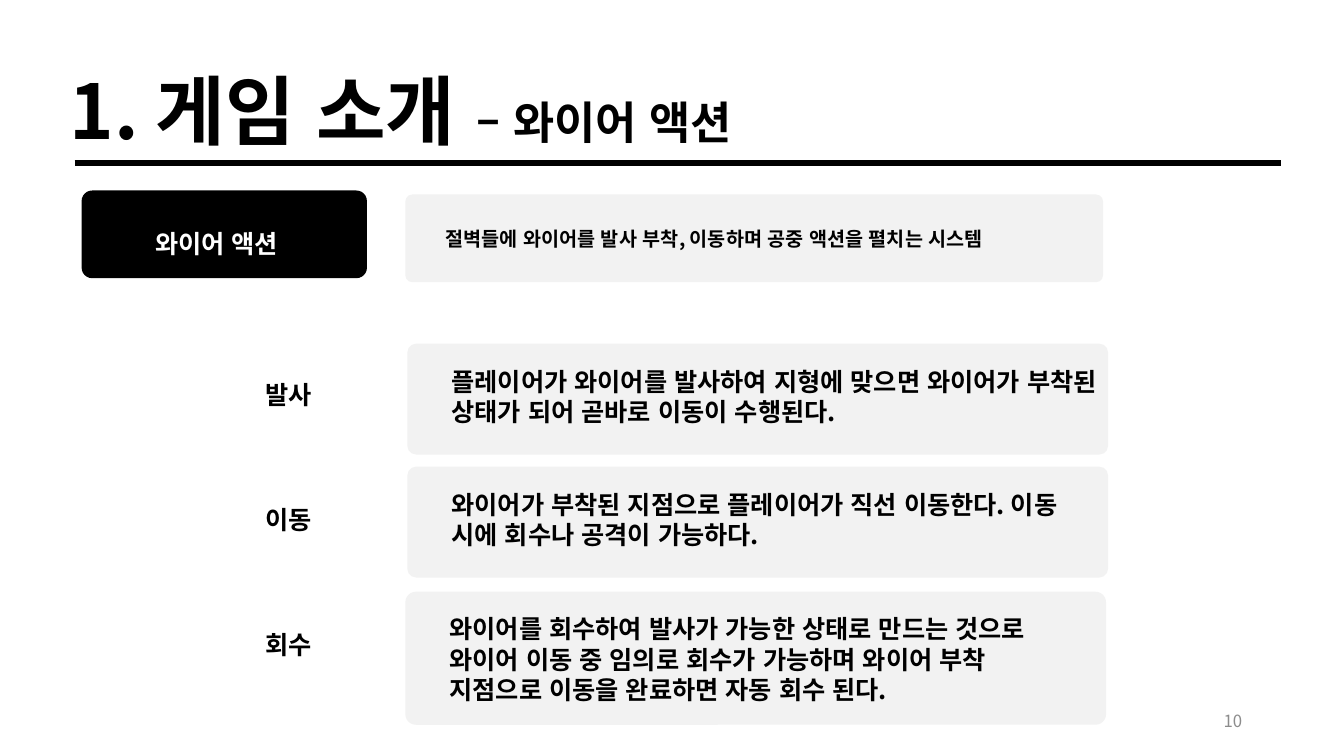
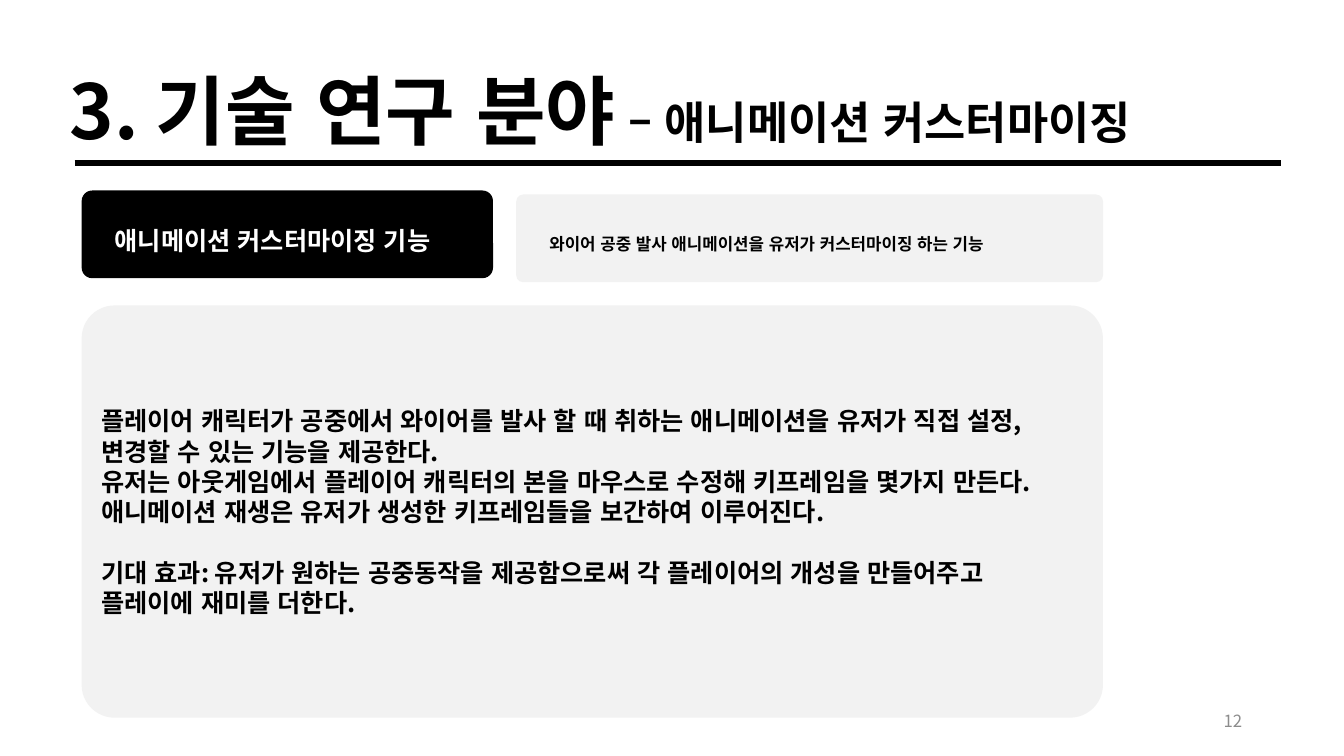
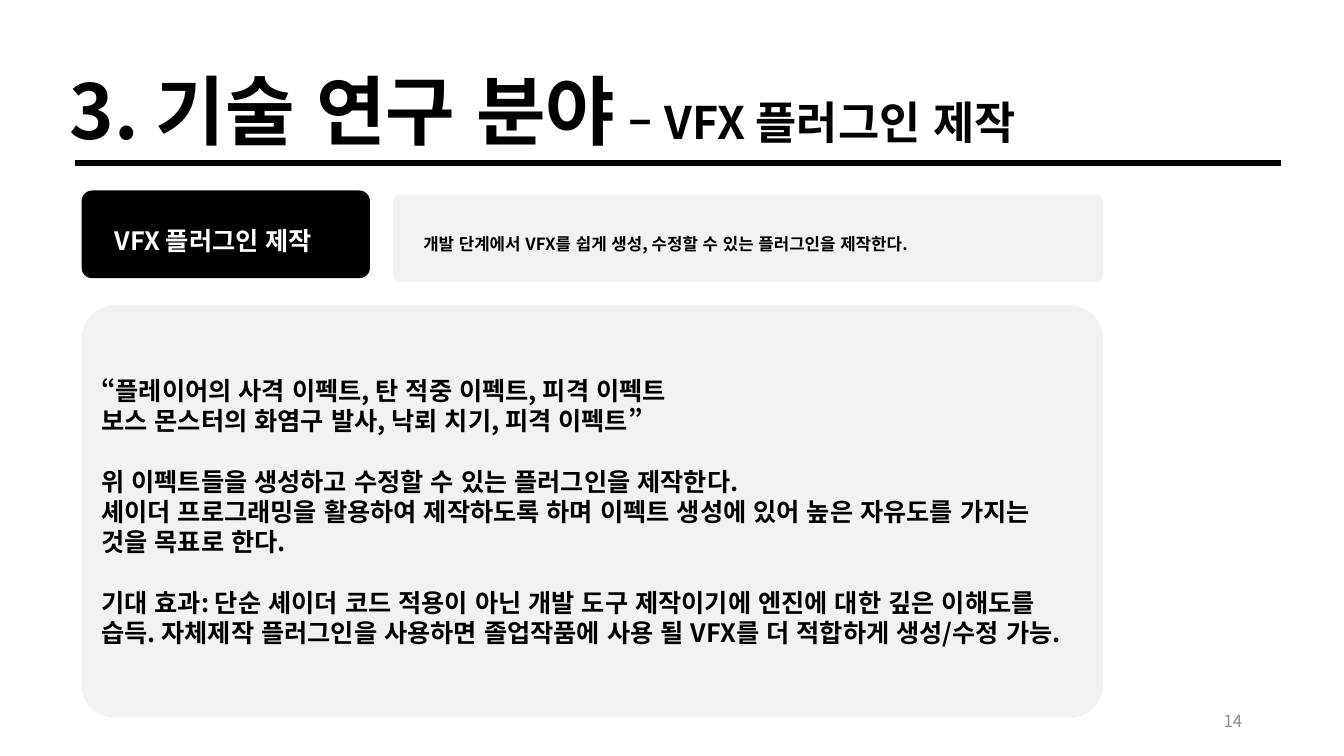
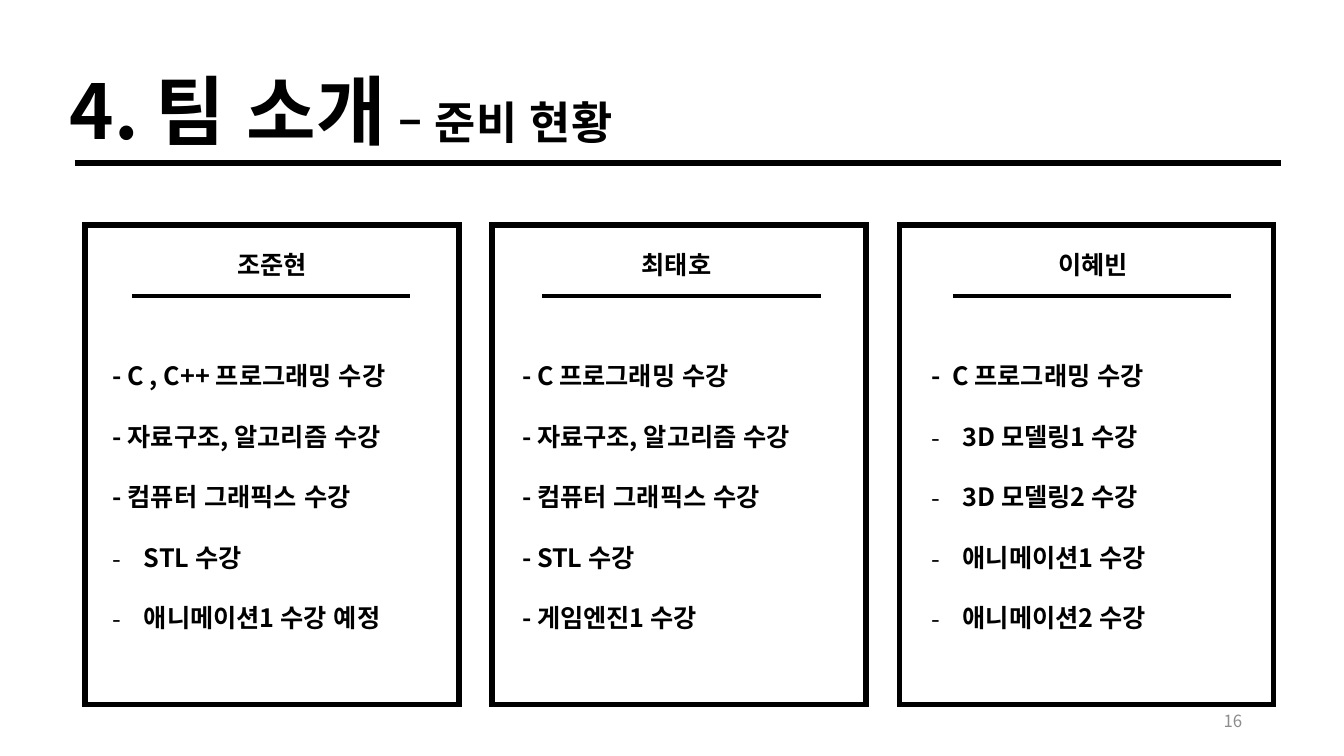
from dataclasses import dataclass

from lxml.etree import SubElement
from pptx import Presentation
from pptx.dml.color import RGBColor as RGB
from pptx.enum.lang import MSO_LANGUAGE_ID as Language
from pptx.enum.shapes import MSO_CONNECTOR as Connector, MSO_SHAPE as Preset
from pptx.enum.text import MSO_ANCHOR as Anchor, PP_ALIGN as Align
from pptx.oxml.ns import qn
from pptx.util import Inches, Pt


@dataclass(frozen=True)
class Theme:
    font: str = "Noto Sans CJK KR"
    black: RGB = RGB(0x00, 0x00, 0x00)
    white: RGB = RGB(0xFF, 0xFF, 0xFF)
    panel: RGB = RGB(0xF2, 0xF2, 0xF2)
    muted: RGB = RGB(0x8C, 0x8C, 0x8C)
    title: int = 54
    subtitle: int = 32
    body: int = 18
    summary: int = 14
    small: int = 12
    heavy: int = 4
    medium: int = 3
    line_height: float = 1.2


THEME = Theme()

WIRE = {
    "title": ("1. 게임 소개 ", "– 와이어 액션"),
    "page": "10",
    "label": "와이어 액션",
    "label_at": (1.44, 1.92, 3.13, 0.61),
    "label_width": 2.83,
    "summary": "절벽들에 와이어를 발사 부착, 이동하며 공중 액션을 펼치는 시스템",
    "summary_left": 4.02,
    "summary_at": (4.32, 2.2, 6.62, 0.34),
    "summary_size": THEME.summary,
    "summary_spacing": 1,
}
WIRE_STEPS = [
    ("발사", "플레이어가 와이어를 발사하여 지형에 맞으면 와이어가 부착된 상태가 되어 곧바로 이동이 수행된다.",
     4.04, 3.41, 1.1, 6.62),
    ("이동", "와이어가 부착된 지점으로 플레이어가 직선 이동한다. 이동 시에 회수나 공격이 가능하다.",
     4.04, 4.63, 1.1, 6.42),
    ("회수", "와이어를 회수하여 발사가 가능한 상태로 만드는 것으로 와이어 이동 중 임의로 회수가 가능하며 "
     "와이어 부착 지점으로 이동을 완료하면 자동 회수 된다.",
     4.02, 5.87, 1.32, 6.3),
]

RESEARCH = [
    {
        "title": ("3. 기술 연구 분야", " – 애니메이션 커스터마이징"),
        "page": "12",
        "label": "애니메이션 커스터마이징 기능",
        "label_at": (1.04, 1.89, 4.08, 0.61),
        "label_width": 4.08,
        "summary": "와이어 공중 발사 애니메이션을 유저가 커스터마이징 하는 기능",
        "summary_left": 5.12,
        "summary_at": (5.35, 2.07, 5.58, 0.44),
        "summary_size": THEME.small,
        "summary_spacing": 2,
        "sections": [
            [
                "플레이어 캐릭터가 공중에서 와이어를 발사 할 때 취하는 애니메이션을 유저가 직접 설정, "
                "변경할 수 있는 기능을 제공한다.",
                "유저는 아웃게임에서 플레이어 캐릭터의 본을 마우스로 수정해 키프레임을 몇가지 만든다.",
                "애니메이션 재생은 유저가 생성한 키프레임들을 보간하여 이루어진다.",
            ],
            [
                "기대 효과: 유저가 원하는 공중동작을 제공함으로써 각 플레이어의 개성을 만들어주고 "
                "플레이에 재미를 더한다.",
            ],
        ],
    },
    {
        "title": ("3. 기술 연구 분야", " – VFX 플러그인 제작"),
        "page": "14",
        "label": "VFX 플러그인 제작",
        "label_at": (1.04, 1.89, 4.08, 0.61),
        "label_width": 2.86,
        "summary": "개발 단계에서 VFX를 쉽게 생성, 수정할 수 있는 플러그인을 제작한다.",
        "summary_left": 3.9,
        "summary_at": (4.1, 2.07, 6.84, 0.44),
        "summary_size": THEME.small,
        "summary_spacing": 2,
        "sections": [
            [
                "“플레이어의 사격 이펙트, 탄 적중 이펙트, 피격 이펙트",
                "보스 몬스터의 화염구 발사, 낙뢰 치기, 피격 이펙트”",
            ],
            [
                "위 이펙트들을 생성하고 수정할 수 있는 플러그인을 제작한다.",
                "셰이더 프로그래밍을 활용하여 제작하도록 하며 이펙트 생성에 있어 높은 자유도를 가지는 "
                "것을 목표로 한다.",
            ],
            [
                "기대 효과: 단순 셰이더 코드 적용이 아닌 개발 도구 제작이기에 엔진에 대한 깊은 이해도를 습득. "
                "자체제작 플러그인을 사용하면 졸업작품에 사용 될 VFX를 더 적합하게 생성/수정 가능.",
            ],
        ],
    },
]

TEAM = {"title": ("4. 팀 소개", " – 준비 현황"), "page": "16"}
MEMBERS = [
    ("조준현", 2.7,
     ["- C , C++ 프로그래밍 수강", "- 자료구조, 알고리즘 수강", "- 컴퓨터 그래픽스 수강"],
     ["STL 수강", "애니메이션1 수강 예정"]),
    ("최태호", 6.71,
     ["- C 프로그래밍 수강", "- 자료구조, 알고리즘 수강", "- 컴퓨터 그래픽스 수강",
      "- STL 수강", "- 게임엔진1 수강"],
     []),
    ("이혜빈", 10.84,
     ["-  C 프로그래밍 수강"],
     ["3D 모델링1 수강", "3D 모델링2 수강", "애니메이션1 수강", "애니메이션2 수강"]),
]

LEFT, RIGHT = 0.81, 10.94
CARD_PITCH, RULE_PITCH, COURSE_PITCH = 4.04, 4.07, 4.06
STEP_TOP, STEP_PITCH = 3.41, 1.24


def add_run(paragraph, text, size, color, bold):
    run = paragraph.add_run()
    run.text = text
    font = run.font
    font.name, font.size, font.bold = THEME.font, Pt(size), bold
    font.language_id = Language.KOREAN
    font.color.rgb = color
    SubElement(font._element, qn("a:ea"), typeface=THEME.font)


def add_dash(paragraph):
    properties = paragraph._p.get_or_add_pPr()
    properties.set("marL", str(Inches(0.31)))
    properties.set("indent", str(Inches(-0.31)))
    SubElement(properties, qn("a:buFont"), typeface=THEME.font)
    SubElement(properties, qn("a:buChar"), char="-")


def write(holder, paragraphs, size=THEME.body, color=THEME.black, bold=True,
          spacing=1, align=Align.LEFT, anchor=Anchor.TOP, right_inset=0.1):
    frame = holder.text_frame
    frame.word_wrap = True
    frame.vertical_anchor = anchor
    frame.margin_left, frame.margin_right = Inches(0.1), Inches(right_inset)
    frame.margin_top = frame.margin_bottom = Inches(0.05)
    for index, (runs, gap, dashed) in enumerate(paragraphs):
        paragraph = frame.paragraphs[0] if index == 0 else frame.add_paragraph()
        paragraph.alignment = align
        paragraph.line_spacing = Pt(size * THEME.line_height * spacing)
        paragraph.space_before = Pt(size * THEME.line_height if gap else 0)
        if dashed:
            add_dash(paragraph)
        for text, run_size in runs:
            add_run(paragraph, text, run_size or size, color, bold)


def line_of(text, gap=False, dashed=False):
    return [(text, None)], gap, dashed


def add_text(slide, at, paragraphs, **style):
    write(slide.shapes.add_textbox(*map(Inches, at)), paragraphs, **style)


def add_box(slide, at, fill=None, rounding=None):
    preset = Preset.RECTANGLE if rounding is None else Preset.ROUNDED_RECTANGLE
    box = slide.shapes.add_shape(preset, *map(Inches, at))
    box.shadow.inherit = False
    if rounding is not None:
        box.adjustments[0] = rounding
    if fill is None:
        box.fill.background()
        box.line.color.rgb = THEME.black
        box.line.width = Pt(THEME.heavy)
        SubElement(box.line._get_or_add_ln(), qn("a:miter"), lim="800000")
    else:
        box.fill.solid()
        box.fill.fore_color.rgb = fill
        box.line.fill.background()
    return box


def add_panel(slide, at):
    return add_box(slide, at, THEME.panel, 0.08)


def add_rule(slide, left, right, top, width):
    rule = slide.shapes.add_connector(
        Connector.STRAIGHT, Inches(left), Inches(top), Inches(right), Inches(top))
    rule.line.color.rgb = THEME.black
    rule.line.width = Pt(width)
    SubElement(rule._element.spPr, qn("a:effectLst"))


def add_page(deck, content):
    slide = deck.slides.add_slide(deck.slide_layouts[6])
    heading, topic = content["title"]
    add_text(slide, (0.59, 0.31, 12.4, 1.15),
             [([(heading, THEME.title), (topic, THEME.subtitle)], False, False)],
             size=THEME.title, spacing=1.3)
    add_rule(slide, 0.74, 12.71, 1.62, THEME.heavy)
    add_text(slide, (9.42, 6.95, 3, 0.4), [line_of(content["page"])], size=THEME.small,
             color=THEME.muted, bold=False, align=Align.RIGHT, anchor=Anchor.MIDDLE)
    return slide


def add_intro(slide, content):
    add_box(slide, (LEFT, 1.89, content["label_width"], 0.87), THEME.black, 0.12)
    add_text(slide, content["label_at"], [line_of(content["label"])],
             color=THEME.white, spacing=2)
    left = content["summary_left"]
    add_panel(slide, (left, 1.93, RIGHT - left, 0.87))
    add_text(slide, content["summary_at"], [line_of(content["summary"])],
             size=content["summary_size"], spacing=content["summary_spacing"])


def build_wire(deck):
    slide = add_page(deck, WIRE)
    add_intro(slide, WIRE)
    for index, (name, description, left, top, height, text_width) in enumerate(WIRE_STEPS):
        add_text(slide, (2.53, STEP_TOP + index * STEP_PITCH, 1.11, 0.61),
                 [line_of(name)], spacing=2)
        add_panel(slide, (left, top, 6.95, height))
        add_text(slide, (left + 0.34, top + 0.17, text_width, height - 0.35),
                 [line_of(description)])


def build_research(deck, content):
    slide = add_page(deck, content)
    add_intro(slide, content)
    details = [line_of(text, gap=section > 0 and index == 0)
               for section, lines in enumerate(content["sections"])
               for index, text in enumerate(lines)]
    write(add_panel(slide, (LEFT, 3.03, RIGHT - LEFT, 4.09)), details,
          anchor=Anchor.MIDDLE, right_inset=0.3)


def build_team(deck):
    slide = add_page(deck, TEAM)
    for index, (name, center, typed, dashed) in enumerate(MEMBERS):
        add_box(slide, (0.84 + index * CARD_PITCH, 2.23, 3.71, 4.76))
        add_text(slide, (center - 1.28, 2.42, 2.56, 0.4), [line_of(name)], align=Align.CENTER)
        shift = index * RULE_PITCH
        add_rule(slide, 1.31 + shift, 4.07 + shift, 2.94, THEME.medium)
        courses = [line_of(text) for text in typed]
        courses += [line_of(text, dashed=True) for text in dashed]
        add_text(slide, (1.02 + index * COURSE_PITCH, 3.23, 3.34, 3.03), courses, spacing=2)


def main():
    deck = Presentation()
    deck.slide_width, deck.slide_height = Inches(13.33), Inches(7.5)
    build_wire(deck)
    for content in RESEARCH:
        build_research(deck, content)
    build_team(deck)
    deck.save("out.pptx")


if __name__ == "__main__":
    main()
